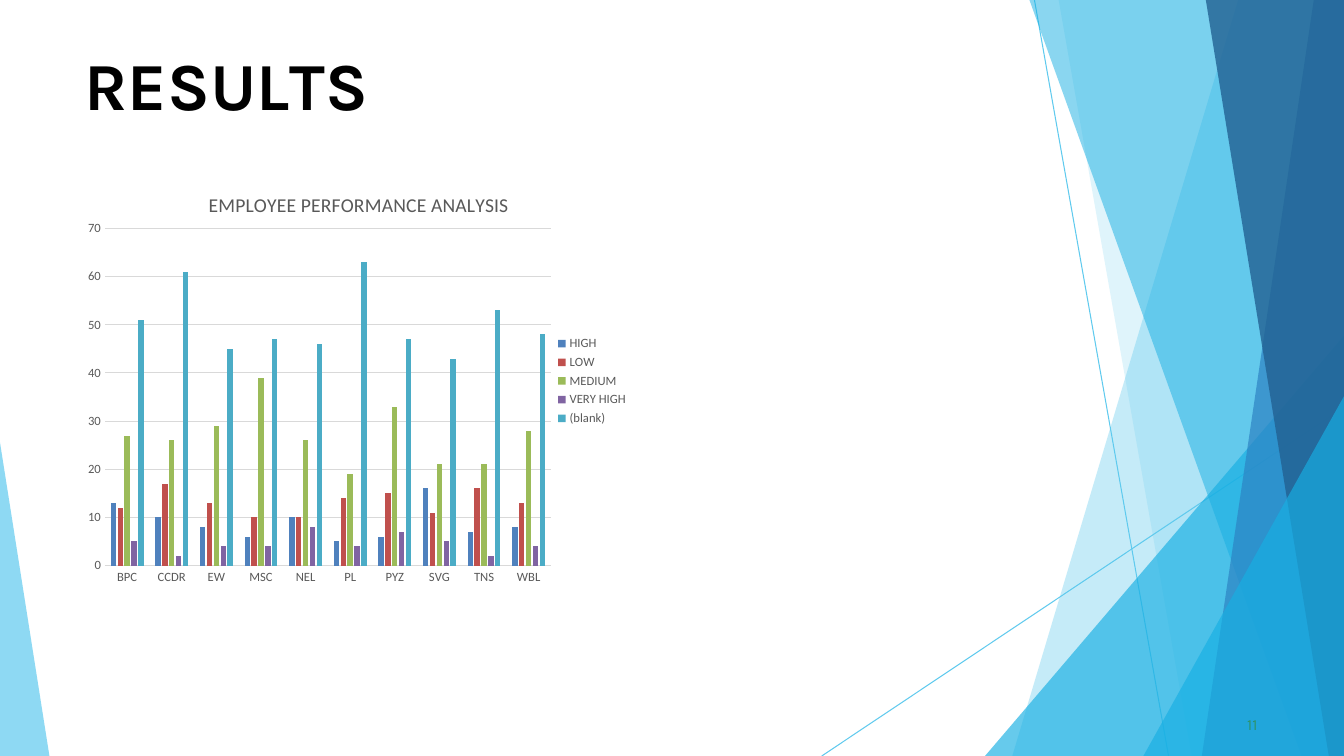
from lxml.etree import SubElement
from pptx import Presentation
from pptx.chart.data import CategoryChartData
from pptx.dml.color import RGBColor
from pptx.enum.chart import XL_CHART_TYPE, XL_LEGEND_POSITION, XL_TICK_MARK
from pptx.enum.shapes import MSO_CONNECTOR
from pptx.enum.text import MSO_ANCHOR, MSO_AUTO_SIZE, PP_ALIGN
from pptx.oxml import parse_xml
from pptx.oxml.ns import nsdecls, qn
from pptx.util import Inches, Pt

W, H = 13.33, 7.5
SKY = RGBColor(0x5F, 0xCA, 0xEE)
CYAN = RGBColor(0x17, 0xAF, 0xE3)
BLUE = RGBColor(0x2D, 0x83, 0xC3)
NAVY = RGBColor(0x22, 0x61, 0x92)
GREEN = RGBColor(0x2D, 0x93, 0x6B)
BLACK = RGBColor(0, 0, 0)
GREY = RGBColor(0x59, 0x59, 0x59)
PALE = RGBColor(0xD9, 0xD9, 0xD9)

# Content
TITLE = [("R", 0), ("E", -0.4), ("S", 0.1), ("U", -0.3), ("L", -4), ("TS", 0)]
NUMBER = [("11", 0.1)]
HEAD = "EMPLOYEE PERFORMANCE ANALYSIS"
UNITS = ["BPC", "CCDR", "EW", "MSC", "NEL", "PL", "PYZ", "SVG", "TNS", "WBL"]
SERIES = [
    ("HIGH", RGBColor(0x4F, 0x81, 0xBD), (13, 10, 8, 6, 10, 5, 6, 16, 7, 8)),
    ("LOW", RGBColor(0xC0, 0x50, 0x4D), (12, 17, 13, 10, 10, 14, 15, 11, 16, 13)),
    ("MEDIUM", RGBColor(0x9B, 0xBB, 0x59), (27, 26, 29, 39, 26, 19, 33, 21, 21, 28)),
    ("VERY HIGH", RGBColor(0x80, 0x64, 0xA2), (5, 2, 4, 4, 8, 4, 7, 5, 2, 4)),
    ("(blank)", RGBColor(0x4B, 0xAC, 0xC6), (51, 61, 45, 47, 46, 63, 47, 43, 53, 48)),
]

# Backdrop: thin lines, then see-through facets with their opacity in percent
LINES = [((10.26, 0), (11.59, H)), ((W, 4.04), (8.15, H))]


def band(top, foot):
    return [(W, 0), (top, 0), (foot, H), (W, H)]


def wedge(top, foot, side=W):
    return [(side, top), (foot, H), (side, H)]


FACETS = [
    (band(12.28, 10.04), SKY, 36),
    (band(10.5, 11.82), SKY, 20),
    (wedge(3.33, 9.77), CYAN, 66),
    (band(10.21, 12.91), CYAN, 50),
    (band(13.03, 11.92), BLUE, 70),
    (band(11.96, 13.18), NAVY, 80),
    (wedge(3.93, 11.34), CYAN, 66),
    (wedge(4.39, 0.49, 0), SKY, 70),
]


def emu(point):
    return [Inches(v) for v in point]


def draw_line(slide, start, end):
    line = slide.shapes.add_connector(MSO_CONNECTOR.STRAIGHT, *emu(start), *emu(end))
    line.line.color.rgb = SKY
    line.line.width = Pt(0.75)
    SubElement(line._element.spPr, qn("a:effectLst"))


def draw_facet(slide, points, color, alpha):
    pen = slide.shapes.build_freeform(*emu(points[0]), scale=1.0)
    pen.add_line_segments([emu(p) for p in points[1:]], close=True)
    facet = pen.convert_to_shape()
    facet.shadow.inherit = False
    facet.line.fill.background()
    facet.fill.solid()
    facet.fill.fore_color.rgb = color
    tint = facet._element.spPr.find(qn("a:solidFill"))[0]
    SubElement(tint, qn("a:alpha")).set("val", str(alpha * 1000))


def set_text(box, place, runs, size, color, bold, before, indent):
    box.left, box.top, box.width, box.height = emu(place)
    frame = box.text_frame
    frame.word_wrap = True
    frame.auto_size = MSO_AUTO_SIZE.SHAPE_TO_FIT_TEXT
    frame.vertical_anchor = MSO_ANCHOR.TOP
    frame.margin_left = frame.margin_right = frame.margin_bottom = 0
    frame.margin_top = Inches(0.01)
    para = frame.paragraphs[0]
    para.alignment = PP_ALIGN.LEFT
    para.space_before = Pt(before)
    props = para._p.get_or_add_pPr()
    props.set("marL", str(Inches(indent)))
    props.set("indent", "0")
    for text, gap in runs:
        run = para.add_run()
        run.text = text
        set_font(run.font, size, color, "Karla")
        run.font.bold = bold
        run.font._element.set("spc", str(round(gap * 100)))


def set_font(font, size, color, name="Calibri"):
    font.size = Pt(size)
    font.name = name
    font.color.rgb = color


def layout(**parts):
    tags = "".join(f'<c:{k} val="{v}"/>' for k, v in parts.items())
    return parse_xml(f'<c:layout {nsdecls("c")}><c:manualLayout>{tags}'
                     "</c:manualLayout></c:layout>")


def add_graph(slide):
    data = CategoryChartData()
    data.categories = UNITS
    for name, _, vals in SERIES:
        data.add_series(name, vals)
    chart = slide.shapes.add_chart(
        XL_CHART_TYPE.COLUMN_CLUSTERED, *emu((0.75, 1.65, 5.58, 4.26)), data).chart
    set_font(chart.font, 10, BLACK)

    # Heading
    chart.has_title = True
    run = chart.chart_title.text_frame.paragraphs[0].add_run()
    run.text = HEAD
    set_font(run.font, 14, GREY)
    run.font.bold = False
    head = chart.chart_title._element
    for old in head.findall(qn("c:layout")):
        head.remove(old)
    head.find(qn("c:tx")).addnext(layout(xMode="edge", yMode="edge", x=0.23, y=0.05))

    # Columns
    plot = chart.plots[0]
    plot.vary_by_categories = False
    plot.gap_width, plot.overlap = 219, -27
    for series, (_, color, _) in zip(plot.series, SERIES):
        series.format.fill.solid()
        series.format.fill.fore_color.rgb = color
    area = chart._chartSpace.chart.plotArea
    for old in area.findall(qn("c:layout")):
        area.remove(old)
    area.insert(0, layout(layoutTarget="inner", xMode="edge", yMode="edge",
                          x=0.052, y=0.145, w=0.793, h=0.785))

    # Axes and legend
    cat, val = chart.category_axis, chart.value_axis
    for axis in (cat, val):
        axis.major_tick_mark = axis.minor_tick_mark = XL_TICK_MARK.NONE
        set_font(axis.tick_labels.font, 9, GREY)
    val.minimum_scale, val.maximum_scale, val.major_unit = 0, 70, 10
    val.has_major_gridlines = True
    val.format.line.fill.background()
    for line in (cat.format.line, val.major_gridlines.format.line):
        line.color.rgb = PALE
        line.width = Pt(0.75)
    chart.has_legend = True
    chart.legend.position = XL_LEGEND_POSITION.RIGHT
    chart.legend.include_in_layout = False
    set_font(chart.legend.font, 9, GREY)


def main():
    deck = Presentation()
    deck.slide_width, deck.slide_height = emu((W, H))
    slide = deck.slides.add_slide(deck.slide_layouts[5])
    for start, end in LINES:
        draw_line(slide, start, end)
    for points, color, alpha in FACETS:
        draw_facet(slide, points, color, alpha)
    set_text(slide.shapes.title, (0.83, 0.42, 3.43, 0.82), TITLE, 48, BLACK, True, 1.1, 0.01)
    place = (12.33, 7.08, 0.25, 0.21)
    box = slide.shapes.add_textbox(*emu(place))
    set_text(box, place, NUMBER, 11, GREEN, False, 0.6, 0.04)
    add_graph(slide)
    deck.save("out.pptx")


if __name__ == "__main__":
    main()
